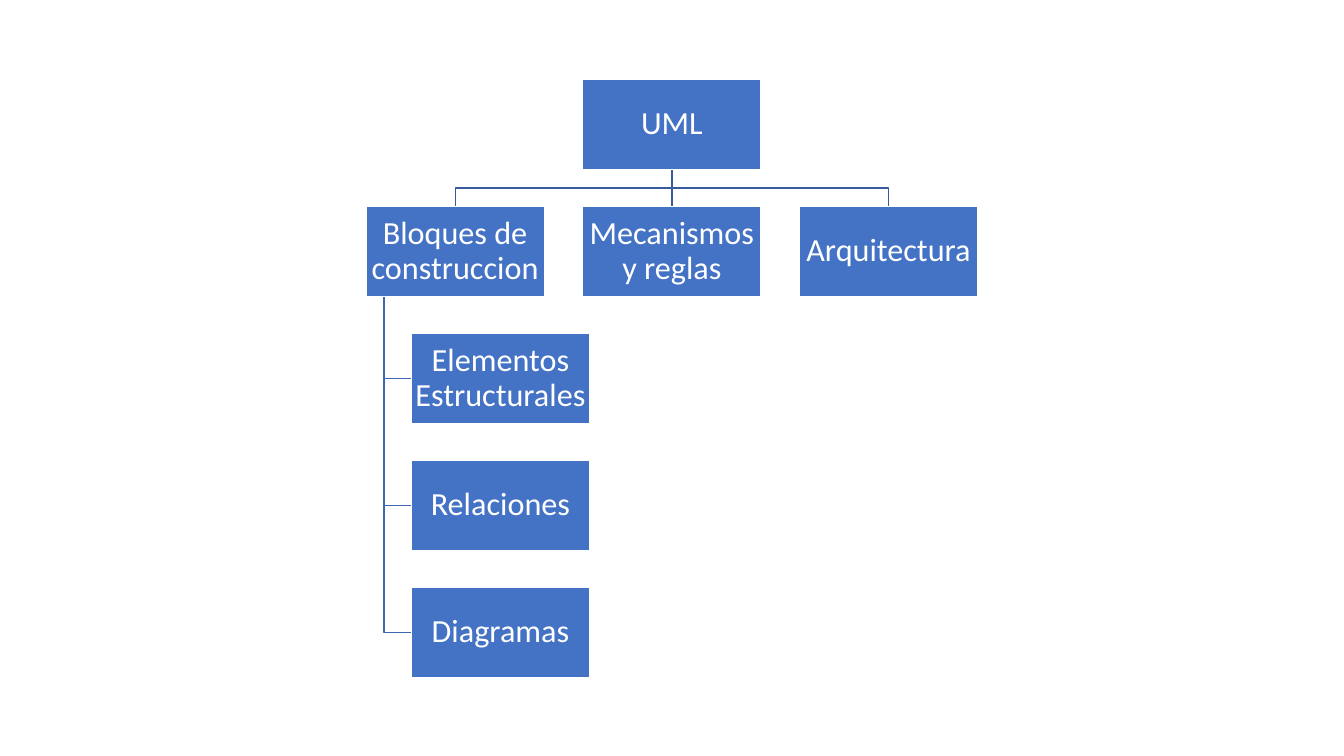
import pptx
import pptx.dml.color
import pptx.enum.shapes
import pptx.enum.text
import pptx.oxml.ns
import pptx.util
from lxml import etree

Inches, Pt = pptx.util.Inches, pptx.util.Pt

ROOT = "UML"
BRANCHES = ["Bloques de construccion", "Mecanismos y reglas", "Arquitectura"]
BLOCKS = ["Elementos Estructurales", "Relaciones", "Diagramas"]

BOX_W, BOX_H = 1.77, 0.89
LEFT, TOP = 3.63, 0.79
COL_STEP, ROW_STEP = 2.15, 1.26
INDENT = 0.45
TRUNK_X = LEFT + 0.18
CENTER_X = LEFT + COL_STEP + BOX_W / 2
BOX_FILL, WHITE = "4472C4", "FFFFFF"
TOP_LINE, SIDE_LINE = "365B9D", "3E67B2"


def rgb(value):
    return pptx.dml.color.RGBColor.from_string(value)


def row_top(row):
    return TOP + row * ROW_STEP


def style_line(sp, color):
    sp.line.color.rgb = rgb(color)
    sp.line.width = Pt(1)


def add_elbow(slide, points, color):
    """Draw an open bent line through points given in inches."""
    pts = [(Inches(x), Inches(y)) for x, y in points]
    builder = slide.shapes.build_freeform(*pts[0])
    builder.add_line_segments(pts[1:], close=False)
    sp = builder.convert_to_shape()
    sp.fill.background()
    sp.shadow.inherit = False
    style_line(sp, color)


def write(sp, text, size=23, font="Calibri", color=WHITE):
    tf = sp.text_frame
    tf.word_wrap = True
    tf.vertical_anchor = pptx.enum.text.MSO_ANCHOR.MIDDLE
    tf.margin_left = tf.margin_right = tf.margin_top = tf.margin_bottom = Inches(0.02)
    p = tf.paragraphs[0]
    p.alignment = pptx.enum.text.PP_ALIGN.CENTER
    p.line_spacing = 0.9
    r = p.add_run()
    r.text = text
    r.font.size = Pt(size)
    r.font.name = font
    r.font.color.rgb = rgb(color)


def add_box(slide, text, x, y):
    sp = slide.shapes.add_shape(pptx.enum.shapes.MSO_SHAPE.RECTANGLE,
                                Inches(x), Inches(y), Inches(BOX_W), Inches(BOX_H))
    sp.fill.solid()
    sp.fill.fore_color.rgb = rgb(BOX_FILL)
    sp.shadow.inherit = False
    style_line(sp, WHITE)
    write(sp, text)
    return sp


def main():
    prs = pptx.Presentation()
    prs.slide_width, prs.slide_height = Inches(13.33), Inches(7.5)
    slide = prs.slides.add_slide(prs.slide_layouts[6])

    root_bottom, branch_top = TOP + BOX_H, row_top(1)
    bus_y = (root_bottom + branch_top) / 2
    for side in (1, -1):
        x = CENTER_X + side * COL_STEP
        add_elbow(slide, [(CENTER_X, root_bottom), (CENTER_X, bus_y),
                          (x, bus_y), (x, branch_top)], TOP_LINE)

    stem = slide.shapes.add_connector(pptx.enum.shapes.MSO_CONNECTOR.STRAIGHT,
                                      Inches(CENTER_X), Inches(root_bottom),
                                      Inches(CENTER_X), Inches(branch_top))
    style_line(stem, TOP_LINE)
    etree.SubElement(stem._element.spPr, pptx.oxml.ns.qn("a:effectLst"))

    block_x = LEFT + INDENT
    for row in range(2, 2 + len(BLOCKS)):
        y = row_top(row) + BOX_H / 2
        add_elbow(slide, [(TRUNK_X, branch_top + BOX_H), (TRUNK_X, y), (block_x, y)],
                  SIDE_LINE)

    root = add_box(slide, ROOT, LEFT + COL_STEP, TOP)
    branches = [add_box(slide, text, LEFT + col * COL_STEP, branch_top)
                for col, text in enumerate(BRANCHES)]
    for row, text in enumerate(BLOCKS, 2):
        add_box(slide, text, block_x, row_top(row))
    stem.begin_connect(root, 2)
    stem.end_connect(branches[1], 0)

    prs.save("out.pptx")


if __name__ == "__main__":
    main()
